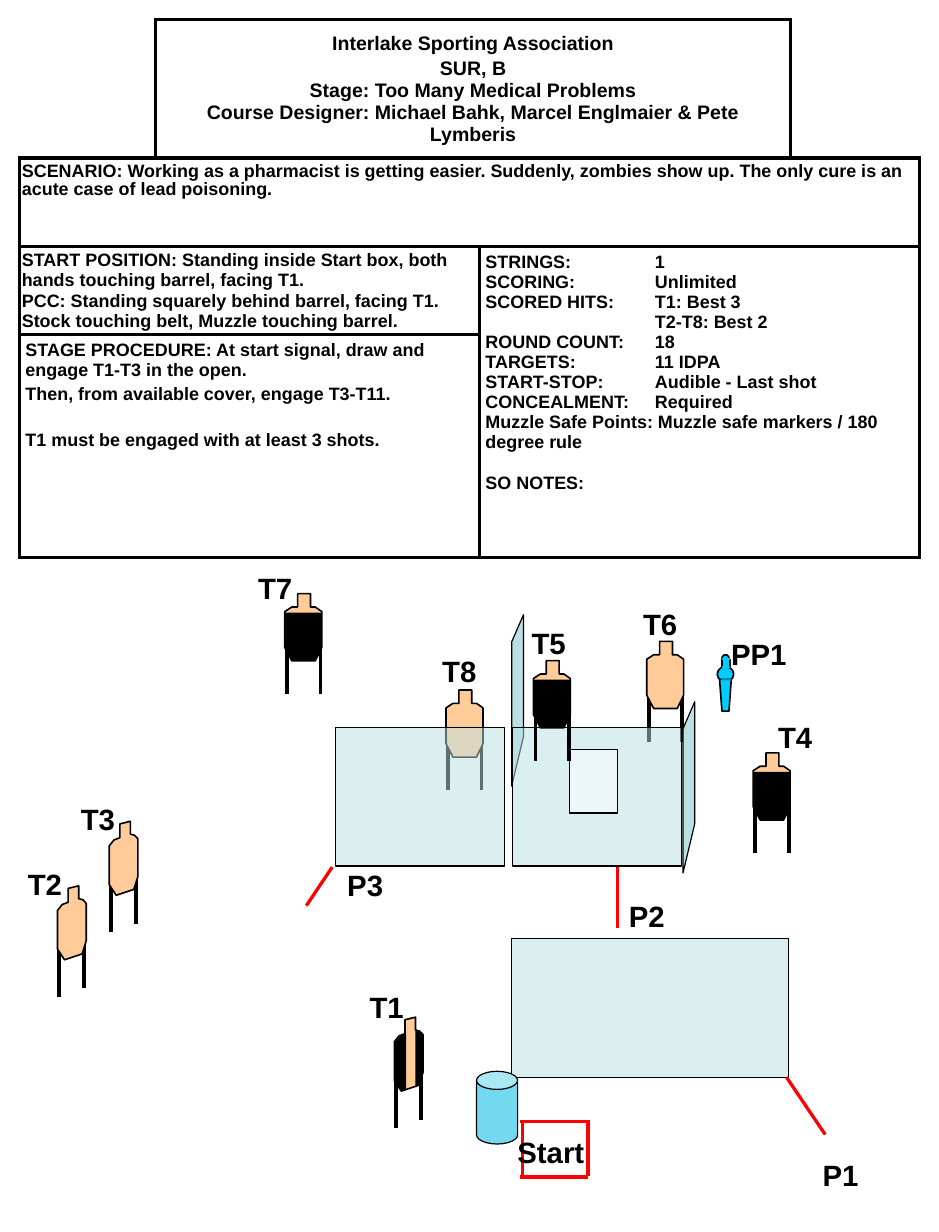
from lxml import etree
from pptx import Presentation
from pptx.dml.color import RGBColor
from pptx.enum.shapes import MSO_CONNECTOR, MSO_SHAPE
from pptx.enum.text import MSO_ANCHOR, PP_ALIGN
from pptx.oxml.ns import qn
from pptx.util import Pt

STRAIGHT = MSO_CONNECTOR.STRAIGHT
RECT, OVAL, CAN = MSO_SHAPE.RECTANGLE, MSO_SHAPE.OVAL, MSO_SHAPE.CAN
MIDDLE, TOP = MSO_ANCHOR.MIDDLE, MSO_ANCHOR.TOP
CENTER, LEFT = PP_ALIGN.CENTER, PP_ALIGN.LEFT
BLACK, WHITE, RED = "000000", "FFFFFF", "FF0000"
CARDBOARD, GLASS, STEEL, DRUM = "FFCC99", "BBE0E3", "00CCFF", "73D9F1"

FRONT = [(7.9, 0), (15.8, 0), (15.8, 8.2), (18.7, 8.2), (22.7, 11), (22.7, 33),
         (18.7, 41.2), (4.3, 41.2), (0, 33), (0, 11), (4.3, 8.2), (7.9, 8.2)]
FRONT_LEGS = [(1.3, 30.4), (21.8, 30.4)]
FRONT_VEST = [(0, 11.7), (22.7, 11.7), (22.7, 33), (18.7, 41.2), (4.3, 41.2), (0, 33)]
TURNED = [(6.5, 1.6), (13, 0), (13, 7.9), (15.6, 8.6), (17.6, 10.8), (17.6, 33.8),
          (15.1, 41.8), (4.3, 45.4), (0, 38.9), (0, 15.1), (2.9, 11.5), (6.5, 10.1)]
TURNED_LEGS = [(0.9, 36.7), (16.4, 31.7)]
TURNED_VESTS = [
    [(0, 38.9), (4.3, 45.4), (7.2, 44.6), (7.2, 10.1), (4.3, 10.8), (0, 15.8)],
    [(13, 7.9), (15.1, 7.9), (18, 10.8), (17.3, 33.1), (15.8, 41), (13, 42.5)]]
SIDE_WALL = [(0, 105.1), (0, 16.6), (7.2, 0), (7.2, 74.9)]

TITLE = [("Interlake Sporting Association", 0),
         ("SUR, B\vStage: Too Many Medical Problems\v"
          "Course Designer: Michael Bahk, Marcel Englmaier & Pete Lymberis", 2)]
SCENARIO = [("SCENARIO: Working as a pharmacist is getting easier. Suddenly, zombies show up. "
             "The only cure is an acute case of lead poisoning.", 0)]
START_POSITION = [
    ("START POSITION: Standing inside Start box, both hands touching barrel, facing T1.", 0),
    ("PCC: Standing squarely behind barrel, facing T1. Stock touching belt, "
     "Muzzle touching barrel.", 0.5)]
PROCEDURE = [
    ("STAGE PROCEDURE: At start signal, draw and engage T1-T3 in the open.", 0),
    ("Then, from available cover, engage T3-T11.", 2),
    ("T1 must be engaged with at least 3 shots.", 16)]
RULES = [("STRINGS:\t1", 0), ("SCORING:\tUnlimited", 0),
         ("SCORED HITS:\tT1: Best 3\v\tT2-T8: Best 2", 0),
         ("ROUND COUNT:\t18", 0), ("TARGETS:\t11 IDPA", 0),
         ("START-STOP:\tAudible - Last shot", 0), ("CONCEALMENT:\tRequired", 0),
         ("Muzzle Safe Points: Muzzle safe markers / 180 degree rule", 0),
         ("SO NOTES:", 12.6)]


def rgb(value):
    """Turn a hex string into a colour."""
    return RGBColor.from_string(value)


def style_font(paragraph, size):
    """Set the bold black font of a paragraph."""
    font = paragraph.font
    font.name, font.size, font.bold = "Arial", Pt(size), True
    font.color.rgb = rgb(BLACK)


def paint(shape, fill, line=None, width=0.75, alpha=None):
    """Set the fill, outline and opacity of a shape."""
    shape.shadow.inherit = False
    shape.fill.solid()
    shape.fill.fore_color.rgb = rgb(fill)
    if alpha:
        color = shape.element.spPr.find(".//" + qn("a:srgbClr"))
        etree.SubElement(color, qn("a:alpha"), val=str(alpha * 1000))
    if line:
        shape.line.color.rgb = rgb(line)
        shape.line.width = Pt(width)
    else:
        shape.line.fill.background()


def add_block(shapes, kind, box, fill, line=None, width=0.75, alpha=None):
    """Add a preset shape in a box."""
    block = shapes.add_shape(kind, *map(Pt, box))
    paint(block, fill, line, width, alpha)
    return block


def add_outline(shapes, x, y, points, fill, line=None, width=1):
    """Add a closed outline whose points are relative to x, y."""
    corners = [(Pt(x + dx), Pt(y + dy)) for dx, dy in points]
    builder = shapes.build_freeform(*corners[0], scale=1.0)
    builder.add_line_segments(corners[1:], close=True)
    paint(builder.convert_to_shape(), fill, line, width)


def add_line(shapes, ends, color=RED, width=2):
    """Add a straight line between two points."""
    line = shapes.add_connector(STRAIGHT, *map(Pt, ends))
    line.line.color.rgb = rgb(color)
    line.line.width = Pt(width)
    etree.SubElement(line._element.spPr, qn("a:effectLst"))


def add_label(shapes, text, x, y, width=41.8):
    """Add a bold marker label."""
    label = shapes.add_textbox(Pt(x), Pt(y), Pt(width), Pt(28.8)).text_frame
    label.word_wrap = True
    label.text = text
    style_font(label.paragraphs[0], 18)


def add_border(cell, sides):
    """Rule the given sides of a table cell."""
    properties = cell._tc.get_or_add_tcPr()
    for side in sides:
        rule = etree.SubElement(properties, qn("a:ln" + side), w=str(Pt(2.25)))
        fill = etree.SubElement(rule, qn("a:solidFill"))
        etree.SubElement(fill, qn("a:srgbClr"), val=BLACK)


def fill_region(table, span, paragraphs, margins, size=11, align=LEFT, anchor=TOP,
                spacing=None, tab=None):
    """Merge, rule and write one region of the briefing table."""
    top, left, bottom, right = span
    region = table.cell(top, left)
    region.merge(table.cell(bottom, right))
    for row in range(top, bottom + 1):
        for column in range(left, right + 1):
            edges = [("L", column == left), ("R", column == right),
                     ("T", row == top), ("B", row == bottom)]
            first = (row, column) == (top, left)
            add_border(table.cell(row, column), [s for s, edge in edges if edge or first])
    region.margin_left = region.margin_right = Pt(margins[0])
    region.margin_top = region.margin_bottom = Pt(margins[1])
    region.vertical_anchor = anchor
    frame = region.text_frame
    for index, (text, before) in enumerate(paragraphs):
        paragraph = frame.add_paragraph() if index else frame.paragraphs[0]
        paragraph.text = text
        paragraph.alignment = align
        paragraph.space_before = Pt(before)
        if spacing:
            paragraph.line_spacing = spacing
        if tab:
            stops = etree.SubElement(paragraph._p.get_or_add_pPr(), qn("a:tabLst"))
            etree.SubElement(stops, qn("a:tab"), pos=str(Pt(tab)), algn="l")
        style_font(paragraph, size)


def add_briefing(shapes, x, y):
    """Add the stage briefing table."""
    widths, heights = [83.5, 198.7, 190.8, 79.2], [85, 54.5, 54, 136.5]
    table = shapes.add_table(4, 4, Pt(x), Pt(y), Pt(sum(widths)), Pt(sum(heights))).table
    table.first_row = table.horz_banding = False
    for column, width in zip(table.columns, widths):
        column.width = Pt(width)
    for row, height in zip(table.rows, heights):
        row.height = Pt(height)
    add_border(table.cell(0, 0), "RB")
    add_border(table.cell(0, 3), "LB")
    fill_region(table, (0, 1, 0, 2), TITLE, (3.6, 3.6), 12, CENTER, MIDDLE)
    fill_region(table, (1, 0, 1, 3), SCENARIO, (1.4, 2.9), spacing=0.9)
    fill_region(table, (2, 0, 2, 1), START_POSITION, (1.4, 2.2))
    fill_region(table, (2, 2, 3, 3), RULES, (3.6, 3.6), tab=104)
    fill_region(table, (3, 0, 3, 1), PROCEDURE, (3.6, 3.6))
    for cell in table.iter_cells():
        cell.fill.solid()
        cell.fill.fore_color.rgb = rgb(WHITE)


def add_target(shapes, x, y, body=FRONT, legs=FRONT_LEGS, vests=()):
    """Add a target on two legs, with any hard cover."""
    target = shapes.add_group_shape().shapes
    for dx, dy in legs:
        add_line(target, (x + dx, y + dy, x + dx, y + dy + 31.2), BLACK, 2.25)
    add_outline(target, x, y, body, CARDBOARD, BLACK)
    for vest in vests:
        add_outline(target, x, y, vest, BLACK)


def add_popper(shapes, x, y):
    """Add the steel popper."""
    popper = shapes.add_group_shape().shapes
    add_block(popper, OVAL, (x + 2.9, y, 4.3, 4.3), STEEL, BLACK, 1)
    add_block(popper, OVAL, (x, y + 7.2, 10.1, 9.4), STEEL, BLACK, 1)
    stand = [(1.4, 15.1), (8.6, 15.1), (7.2, 34.6), (2.9, 34.6)]
    add_outline(popper, x, y, stand, STEEL, BLACK)
    add_block(popper, RECT, (x + 2.9, y + 2.9, 5, 5), STEEL, BLACK, 1)
    add_block(popper, RECT, (x + 2.2, y + 15.1, 6.5, 0.7), STEEL)
    for dy in (7.2, 2.2):
        add_block(popper, RECT, (x + 3.6, y + dy, 3.6, 0.7), STEEL, STEEL, 1)


def add_range(shapes):
    """Add the walls, targets and fault lines of the stage."""
    add_block(shapes, RECT, (313.9, 576, 169.9, 85), GLASS, BLACK, alpha=50)
    for ends in [(506.2, 696.2, 482.4, 661), (378.7, 530.6, 378.7, 569.5),
                 (203.8, 532.1, 187.9, 555.8)]:
        add_line(shapes, ends)
    for x, y in [(35.3, 543.6), (67, 504)]:
        add_target(shapes, x, y, TURNED, TURNED_LEGS)
    for x, y in [(396.7, 393.6), (273.6, 423.4)]:
        add_target(shapes, x, y)
    add_outline(shapes, 313.9, 377.3, SIDE_WALL, GLASS, BLACK, 0.75)
    for x in (205.9, 314.6):
        add_block(shapes, RECT, (x, 446.4, 103.7, 85), GLASS, BLACK, alpha=50)
    add_block(shapes, RECT, (349.2, 460.1, 29.5, 38.9), WHITE, BLACK, alpha=50)
    for x, y in [(174.7, 364.3), (327.2, 405.4), (462, 462)]:
        add_target(shapes, x, y, vests=[FRONT_VEST])
    add_outline(shapes, 419, 430.6, SIDE_WALL, GLASS, BLACK, 0.75)
    add_target(shapes, 241.9, 624.2, TURNED, TURNED_LEGS, TURNED_VESTS)
    add_popper(shapes, 440, 401.8)


def add_start_box(shapes, left, top, right, bottom):
    """Add the start box and its barrel."""
    for y in (top, bottom):
        add_line(shapes, (right, y, left - 1.4, y))
    for x in (left, right):
        add_line(shapes, (x, top - 0.7, x, bottom - 0.8))
    add_label(shapes, "Start", left - 10.1, top + 4.3, 67.7)
    barrel = add_block(shapes, CAN, (left - 28.1, top - 30.9, 25.2, 44.6), DRUM, BLACK)
    barrel.adjustments[0] = 0.44


def add_markers(shapes):
    """Add the labels of the targets and positions."""
    for text, x, y in [("P1", 497.5, 706.3), ("P2", 378.7, 547.9), ("P3", 205.9, 528.5),
                       ("T1", 219.6, 603.4), ("T2", 10, 527.8), ("T3", 42.5, 488.2),
                       ("T4", 470.2, 437.8), ("T5", 319, 380.2), ("T6", 387.4, 368.6),
                       ("T7", 151.2, 346.3), ("T8", 264.2, 397.4)]:
        add_label(shapes, text, x, y)
    add_label(shapes, "PP1", 441.4, 386.6, 52.6)


def main():
    """Build the stage sheet."""
    deck = Presentation()
    deck.slide_width, deck.slide_height = Pt(576), Pt(756)
    shapes = deck.slides.add_slide(deck.slide_layouts[6]).shapes
    add_briefing(shapes, 12, 12)
    add_markers(shapes)
    add_range(shapes)
    add_start_box(shapes, 320.4, 688.3, 360.7, 722.2)
    deck.save("out.pptx")


if __name__ == "__main__":
    main()
